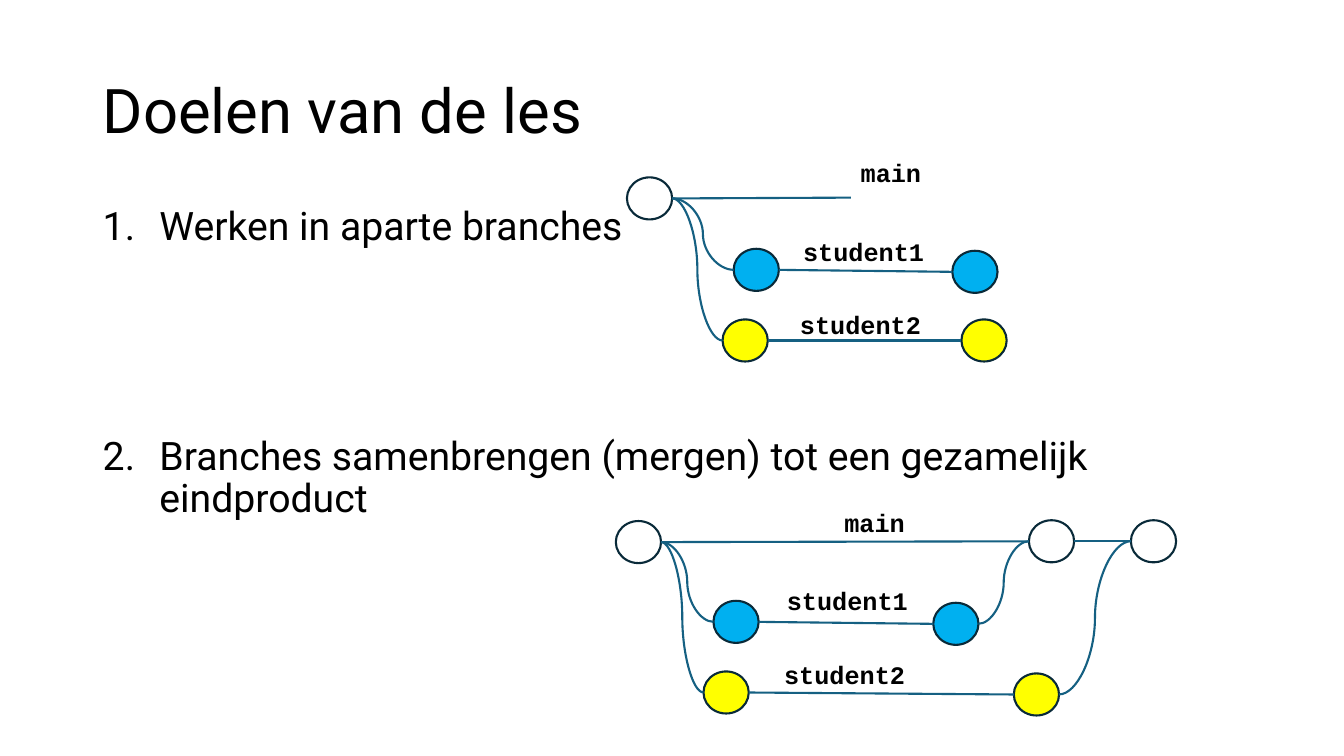
from lxml import etree
from pptx import Presentation
from pptx.dml.color import RGBColor
from pptx.enum.shapes import MSO_CONNECTOR, MSO_SHAPE
from pptx.enum.text import MSO_ANCHOR
from pptx.oxml.ns import qn
from pptx.util import Cm, Pt

STRAIGHT, CURVE = MSO_CONNECTOR.STRAIGHT, MSO_CONNECTOR.CURVE
OVAL = MSO_SHAPE.OVAL
TOP, MIDDLE = MSO_ANCHOR.TOP, MSO_ANCHOR.MIDDLE

COLORS = {"text": "000000", "line": "156082", "outline": "092A39",
          "main": "FFFFFF", "student1": "00B0F0", "student2": "FFFF00"}

TITLE = "Doelen van de les"
GOALS = ["Werken in aparte branches",
         "Branches samenbrengen (mergen) tot een gezamelijk eindproduct"]
GOAL_GAP = Pt(134)
HANGING = Cm(1.43)

NODE_WIDTH, NODE_HEIGHT = 1.14, 1.06
LABEL_WIDTHS = {"main": 2.77, "student1": 3.73, "student2": 3.73}

# Each branch: left and top of its commits, then of its label.
DIAGRAMS = [
    {"commits": {"main": [(15.8, 4.47)],
                 "student1": [(18.49, 6.27), (24, 6.32)],
                 "student2": [(18.21, 8.05), (24.23, 8.05)]},
     "labels": {"main": (21.44, 3.84), "student1": (19.99, 5.82), "student2": (19.91, 7.67)},
     "open_end": (21.44, 4.98),
     "merges": {}},
    {"commits": {"main": [(15.52, 13.13), (25.93, 13.11), (28.5, 13.11)],
                 "student1": [(17.98, 15.14), (23.52, 15.19)],
                 "student2": [(17.73, 16.92), (25.55, 16.97)]},
     "labels": {"main": (21.03, 12.65), "student1": (19.58, 14.63), "student2": (19.51, 16.48)},
     "open_end": None,
     "merges": {"student1": 1, "student2": 2}},
]


def color(name):
    return RGBColor.from_string(COLORS[name])


def left_side(commit):
    return commit[0], commit[1] + NODE_HEIGHT / 2


def right_side(commit):
    return commit[0] + NODE_WIDTH, commit[1] + NODE_HEIGHT / 2


def add_text(page, bounds, lines, size, font="Roboto", bold=False, anchor=TOP, spacing=None):
    box = page.shapes.add_textbox(*(Cm(length) for length in bounds))
    frame = box.text_frame
    frame.word_wrap = True
    frame.vertical_anchor = anchor
    frame.text = "\n".join(lines)
    for paragraph in frame.paragraphs:
        paragraph.line_spacing = spacing
        paragraph.font.name = font
        paragraph.font.size = Pt(size)
        paragraph.font.bold = bold
        paragraph.font.color.rgb = color("text")
    return frame.paragraphs


def add_line(page, kind, start, end):
    line = page.shapes.add_connector(kind, *(Cm(length) for length in start + end))
    line.line.color.rgb = color("line")
    line.line.width = Pt(1.5)
    etree.SubElement(line._element.spPr, qn("a:effectLst"))


def add_commit(page, branch, commit):
    node = page.shapes.add_shape(OVAL, Cm(commit[0]), Cm(commit[1]),
                                 Cm(NODE_WIDTH), Cm(NODE_HEIGHT))
    node.shadow.inherit = False
    node.fill.solid()
    node.fill.fore_color.rgb = color(branch)
    node.line.color.rgb = color("outline")
    node.line.width = Pt(1.5)


def add_diagram(page, diagram):
    commits = diagram["commits"]
    trunk = commits["main"]
    for branch, chain in commits.items():
        for commit in chain:
            add_commit(page, branch, commit)
        for before, after in zip(chain, chain[1:]):
            add_line(page, STRAIGHT, right_side(before), left_side(after))
        if branch != "main":
            add_line(page, CURVE, right_side(trunk[0]), left_side(chain[0]))
    for branch, target in diagram["merges"].items():
        add_line(page, CURVE, right_side(commits[branch][-1]), left_side(trunk[target]))
    if diagram["open_end"]:
        add_line(page, STRAIGHT, right_side(trunk[0]), diagram["open_end"])
    for branch, corner in diagram["labels"].items():
        add_text(page, corner + (LABEL_WIDTHS[branch], 1.03), [branch], 18, "Courier New", True)


def main():
    """Build the lesson goals slide with its two branch diagrams."""
    deck = Presentation()
    deck.slide_width, deck.slide_height = Cm(33.87), Cm(19.05)
    page = deck.slides.add_slide(deck.slide_layouts[6])
    add_text(page, (2.34, 1.02, 29.21, 3.68), [TITLE], 44, anchor=MIDDLE, spacing=0.9)
    goals = add_text(page, (2.34, 5.08, 29.21, 8.74), GOALS, 28, spacing=0.9)
    goals[1].space_before = GOAL_GAP
    for paragraph in goals:
        properties = paragraph._p.get_or_add_pPr()
        properties.set("marL", str(HANGING))
        properties.set("indent", str(-HANGING))
        numbering = etree.Element(qn("a:buAutoNum"), type="arabicPeriod")
        properties.find(qn("a:defRPr")).addprevious(numbering)
    for diagram in DIAGRAMS:
        add_diagram(page, diagram)
    deck.save("out.pptx")


if __name__ == "__main__":
    main()
